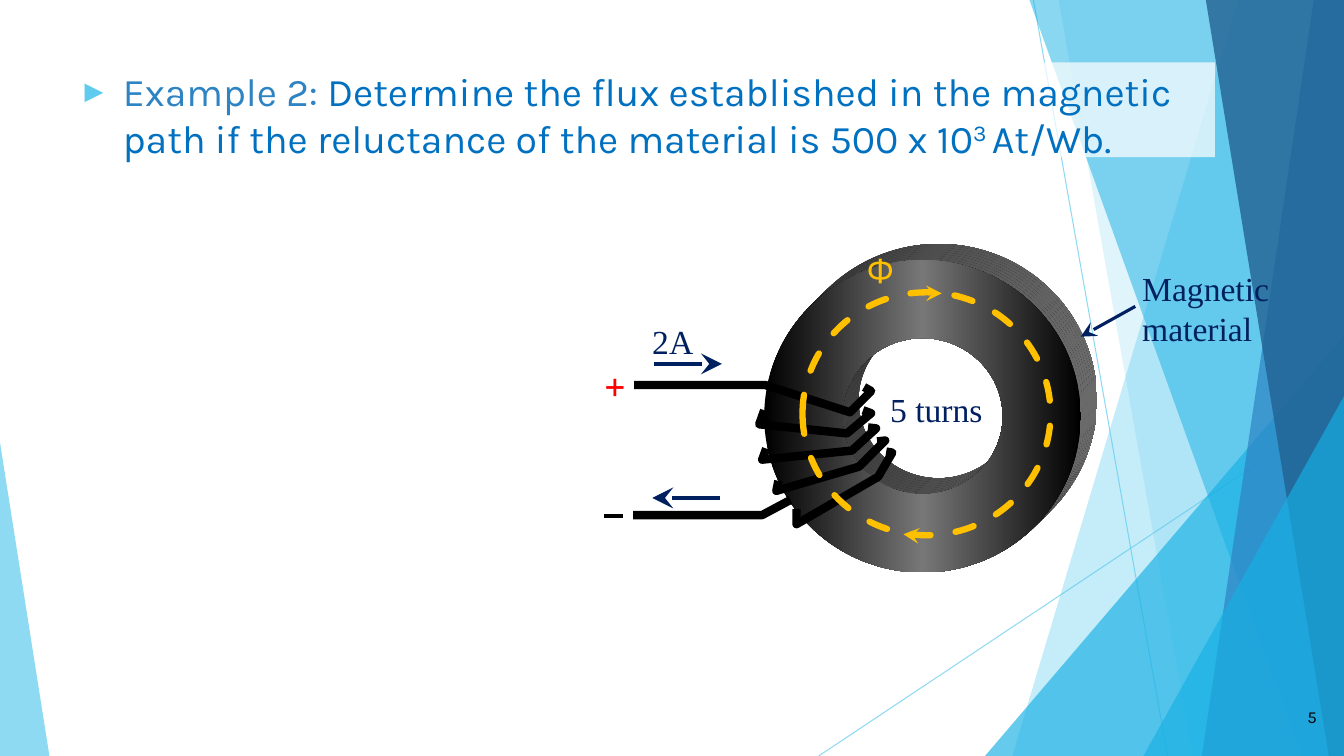
import copy
import dataclasses

import pptx
import pptx.dml.color
import pptx.enum.dml
import pptx.enum.shapes
import pptx.enum.text
import pptx.oxml
import pptx.oxml.ns
import pptx.util

Inches = pptx.util.Inches
Pt = pptx.util.Pt
RGB = pptx.dml.color.RGBColor.from_string
Preset = pptx.enum.shapes.MSO_SHAPE
Align = pptx.enum.text.PP_ALIGN
qn = pptx.oxml.ns.qn


@dataclasses.dataclass(frozen=True)
class Theme:
    sky: str = "5FCBEF"
    cyan: str = "17B0E4"
    blue: str = "2E83C3"
    deep: str = "226292"
    question: str = "0070C0"
    navy: str = "002060"
    amber: str = "FFC000"
    red: str = "FF0000"
    black: str = "000000"
    white: str = "FFFFFF"
    steel: str = "777777"
    rim_dark: str = "303030"
    rim_light: str = "6A6A6A"
    body: str = "Karla"
    serif: str = "Times New Roman"
    mono: str = "DejaVu Sans Mono"
    question_size: int = 28
    label_size: int = 24
    number_size: int = 12


theme = Theme()
W, H = 13.33, 7.5

deck = pptx.Presentation()
deck.slide_width, deck.slide_height = Inches(W), Inches(H)
slide = deck.slides.add_slide(deck.slide_layouts[6])
shapes = slide.shapes


def draw_line(start, end, color, width, arrow=False, opacity=100):
    line = shapes.add_connector(pptx.enum.shapes.MSO_CONNECTOR.STRAIGHT,
                                *[Inches(v) for v in (*start, *end)])
    line.line.color.rgb = RGB(color)
    line.line.width = Pt(width)
    properties = line._element.spPr
    if opacity < 100:
        tint = next(properties.iter(qn("a:srgbClr")))
        tint.append(tint.makeelement(qn("a:alpha"), {"val": str(opacity * 1000)}))
    if arrow:
        stroke = properties.find(qn("a:ln"))
        stroke.append(stroke.makeelement(
            qn("a:tailEnd"), {"type": "stealth", "w": "lg", "len": "lg"}))
    properties.append(properties.makeelement(qn("a:effectLst"), {}))


def write(text, box, color, font, size=theme.label_size, wrap=False, align=Align.LEFT):
    label = shapes.add_textbox(*[Inches(v) for v in box])
    frame = label.text_frame
    frame.word_wrap = wrap
    frame.text = text
    frame.paragraphs[0].alignment = align
    letters = frame.paragraphs[0].runs[0].font
    letters.name, letters.size, letters.color.rgb = font, Pt(size), RGB(color)
    return frame


# Background: thin rays, then translucent panels
draw_line((10.25, 0), (11.58, H), theme.sky, 0.75, opacity=70)
draw_line((W, 4.03), (8.12, H), theme.sky, 0.75, opacity=70)

# Slanted panels give top and bottom x; wedges give left, top, width, apex side
panels = [
    ("slant", (12.28, 10.04), theme.sky, 36),
    ("slant", (10.5, 11.83), theme.sky, 20),
    ("wedge", (9.77, 3.33, 3.56, 1), theme.cyan, 66),
    ("slant", (10.21, 12.91), theme.cyan, 50),
    ("slant", (13.03, 11.92), theme.blue, 70),
    ("slant", (11.96, 13.18), theme.deep, 80),
    ("wedge", (11.34, 3.93, 1.99, 1), theme.cyan, 66),
    ("wedge", (0, 4.39, 0.49, 0), theme.sky, 70),
]
for kind, place, color, opacity in panels:
    if kind == "slant":
        top_x, bottom_x = place
        outline = shapes.build_freeform(Inches(top_x), 0)
        outline.add_line_segments([(Inches(x), Inches(y)) for x, y in
                                   [(W, 0), (W, H), (bottom_x, H)]], close=True)
        panel = outline.convert_to_shape()
    else:
        left, top, width, apex = place
        panel = shapes.add_shape(Preset.ISOSCELES_TRIANGLE, Inches(left), Inches(top),
                                 Inches(width), Inches(H - top))
        panel.adjustments[0] = apex
    panel.shadow.inherit = False
    panel.fill.solid()
    panel.fill.fore_color.rgb = RGB(color)
    panel.line.fill.background()
    tint = next(panel._element.spPr.iter(qn("a:srgbClr")))
    tint.append(tint.makeelement(qn("a:alpha"), {"val": str(opacity * 1000)}))

# Question on a translucent white band
question = shapes.add_shape(Preset.RECTANGLE, Inches(0.74), Inches(0.62),
                            Inches(11.31), Inches(0.94))
question.shadow.inherit = False
question.fill.solid()
question.fill.fore_color.rgb = RGB(theme.white)
tint = next(question._element.spPr.iter(qn("a:srgbClr")))
tint.append(tint.makeelement(qn("a:alpha"), {"val": "71000"}))
question.line.fill.background()
question.text_frame.word_wrap = True
question.text_frame.vertical_anchor = pptx.enum.text.MSO_ANCHOR.TOP
sentence = question.text_frame.paragraphs[0]
sentence.alignment = Align.LEFT
layout = sentence._p.get_or_add_pPr()
layout.set("marL", str(Inches(0.38)))
layout.set("indent", str(-Inches(0.38)))
bullet_color = layout.makeelement(qn("a:buClr"), {})
bullet_color.append(layout.makeelement(qn("a:srgbClr"), {"val": theme.sky}))
layout.append(bullet_color)
for tag, attributes in [("a:buSzPct", {"val": "80000"}),
                        ("a:buFont", {"typeface": theme.mono}),
                        ("a:buChar", {"char": "▶"})]:
    layout.append(layout.makeelement(qn(tag), attributes))
for words, color, baseline in [
    ("Example 2: ", theme.blue, 0),
    ("Determine the flux established in the magnetic path if the reluctance "
     "of the material is 500 x 10", theme.question, 0),
    ("3 ", theme.question, 30000),
    ("At/Wb.", theme.question, 0),
]:
    run = sentence.add_run()
    run.text = words
    run.font.name, run.font.size = theme.body, Pt(theme.question_size)
    run.font.color.rgb = RGB(color)
    if baseline:
        run._r.get_or_add_rPr().set("baseline", str(baseline))

# Magnetic ring: layers stepping from the back rim to the front face
depth, layers = 0.16, 8
for layer in range(layers, -1, -1):
    shift = depth * layer / layers
    ring = shapes.add_shape(Preset.DONUT, Inches(7.58 + shift), Inches(2.58 - shift),
                            Inches(3.14), Inches(3.1))
    ring.adjustments[0] = 0.25
    ring.shadow.inherit = False
    ring.line.fill.background()
    ring.fill.gradient()
    ring.fill.gradient_angle = 0
    first, last = ring.fill.gradient_stops
    first.position, last.position = 0, 1
    first.color.rgb = RGB(theme.rim_dark if layer else theme.black)
    last.color.rgb = RGB(theme.rim_light if layer else theme.black)
middle = copy.deepcopy(first._gs)
first._gs.addnext(middle)
ring.fill.gradient_stops[1].position = 0.5
ring.fill.gradient_stops[1].color.rgb = RGB(theme.steel)

# Coil wire: supply lead, turns and return lead
coil = [
    [(6.29, 3.82), (7.59, 3.82), (8.43, 4.09), (8.64, 3.88), (8.57, 3.84)],
    [(7.58, 4.07), (7.53, 4.21), (8.4, 4.3), (8.64, 4.1), (8.56, 4.07)],
    [(7.6, 4.45), (7.56, 4.56), (8.45, 4.47), (8.69, 4.25), (8.61, 4.24)],
    [(7.9, 5.05), (7.9, 5.2), (8.71, 4.73), (8.85, 4.49), (8.79, 4.48)],
    [(7.72, 4.77), (7.7, 4.87), (8.52, 4.63), (8.78, 4.37), (8.7, 4.38)],
    [(6.28, 5.11), (7.56, 5.11), (7.84, 4.96)],
]
for turn in coil:
    start, *bends = [(Inches(x), Inches(y)) for x, y in turn]
    outline = shapes.build_freeform(*start)
    outline.add_line_segments(bends, close=False)
    wire = outline.convert_to_shape()
    wire.shadow.inherit = False
    wire.fill.background()
    wire.line.color.rgb = RGB(theme.black)
    wire.line.width = Pt(6)

# Current arrows, terminals and labels
draw_line((6.49, 3.61), (7.16, 3.61), theme.navy, 3, arrow=True)
draw_line((7.14, 4.94), (6.47, 4.94), theme.navy, 3, arrow=True)
write("2A", (6.37, 3.13, 0.61, 0.5), theme.navy, theme.serif)
write("+", (5.9, 3.57, 0.4, 0.5), theme.red, theme.mono)
draw_line((5.99, 5.12), (6.18, 5.12), theme.black, 2.25)
write("5 turns", (8.73, 3.81, 1.12, 0.5), theme.navy, theme.serif)
write("Magnetic material", (11.23, 2.61, 1.88, 0.91), theme.navy, theme.serif, wrap=True)
draw_line((11.26, 3.04), (10.72, 3.34), theme.navy, 2.25, arrow=True)

# Flux path
draw_line((9.11, 2.91), (9.34, 2.91), theme.amber, 2.25, arrow=True)
flux = shapes.add_shape(Preset.OVAL, Inches(7.96), Inches(2.9), Inches(2.46), Inches(2.41))
flux.shadow.inherit = False
flux.fill.background()
flux.line.color.rgb = RGB(theme.amber)
flux.line.width = Pt(4.5)
flux.line.dash_style = pptx.enum.dml.MSO_LINE.DASH
flux._element.spPr.find(qn("a:ln")).set("cap", "rnd")
draw_line((9.15, 5.32), (8.96, 5.3), theme.amber, 2.25, arrow=True)
write("Φ", (8.5, 2.43, 0.6, 0.5), theme.amber, theme.body, wrap=True)

# Slide number
number = write("5", (12.41, 6.91, 0.75, 0.4), theme.black, theme.body,
               theme.number_size, wrap=True, align=Align.RIGHT)
number.vertical_anchor = pptx.enum.text.MSO_ANCHOR.MIDDLE

deck.save("out.pptx")
